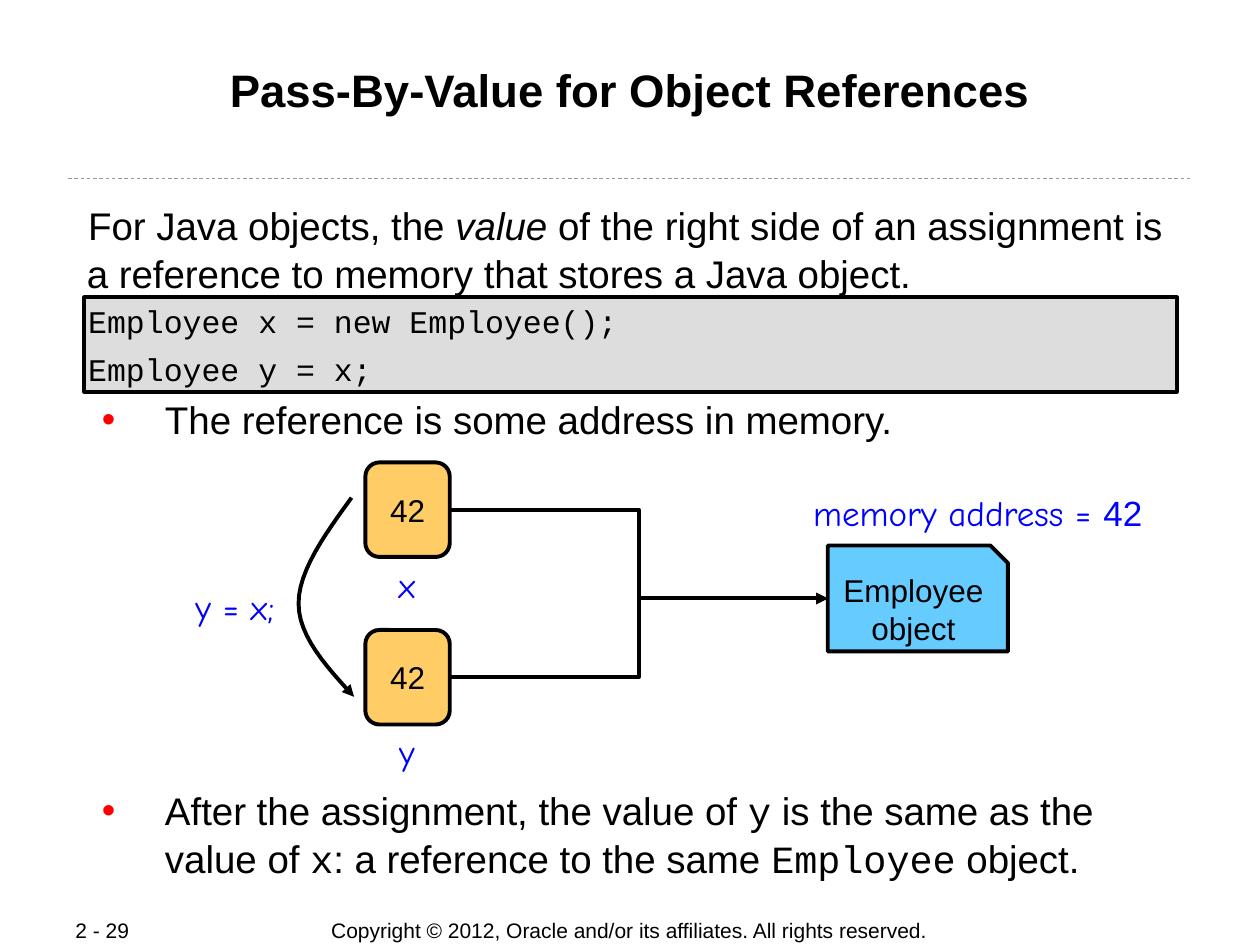
from lxml import etree
from pptx import Presentation
from pptx import util as u
from pptx.dml.color import RGBColor
from pptx.enum import dml, shapes, text
from pptx.oxml import ns

SANS, MONO, HAND = "Arial", "Courier New", "Comic Neue"
BLACK, BLUE, RED = "000000", "0000FF", "FF0000"
AMBER, SKY, GRAY, RULE = "FFCC66", "66CCFF", "DDDDDD", "999999"
LEFT, CENTER = text.PP_ALIGN.LEFT, text.PP_ALIGN.CENTER
TOP, MIDDLE = text.MSO_ANCHOR.TOP, text.MSO_ANCHOR.MIDDLE
LABEL_INSETS = (0.1, 0.05, 0.1, 0.05)
BODY_INSETS = (0.01, 0.01, 0.01, 0.01)


def rgb(color):
    return RGBColor.from_string(color)


def inches(*lengths):
    return [u.Inches(length) for length in lengths]


def add_child(parent, tag, **attributes):
    return etree.SubElement(parent, ns.qn(tag), attributes)


def set_frame(frame, insets=LABEL_INSETS, anchor=TOP, wrap=True):
    frame.auto_size = text.MSO_AUTO_SIZE.NONE
    frame.word_wrap = wrap
    frame.vertical_anchor = anchor
    (frame.margin_left, frame.margin_top,
     frame.margin_right, frame.margin_bottom) = inches(*insets)


def add_run(paragraph, words, size, font=SANS, color=BLACK, bold=False, italic=False):
    run = paragraph.add_run()
    run.text = words
    run.font.size = u.Pt(size)
    run.font.name = font
    run.font.bold = bold
    run.font.italic = italic
    run.font.color.rgb = rgb(color)


def add_text(slide, at, runs, size, color=BLACK, align=LEFT,
             insets=LABEL_INSETS, anchor=TOP, wrap=True):
    frame = slide.shapes.add_textbox(*inches(*at)).text_frame
    set_frame(frame, insets, anchor, wrap)
    paragraph = frame.paragraphs[0]
    paragraph.alignment = align
    for words, font, italic in runs:
        add_run(paragraph, words, size, font, color, italic=italic)
    return paragraph


def add_body(slide, top, height, runs, bulleted=False):
    paragraph = add_text(slide, (0.67, top, 8.66, height), runs, 22, insets=BODY_INSETS)
    paragraph.line_spacing = 1.04
    properties = paragraph._p.get_or_add_pPr()
    margin, indent = (0.63, -0.5) if bulleted else (0.01, 0.01)
    properties.set("marL", str(u.Inches(margin)))
    properties.set("indent", str(u.Inches(indent)))
    if bulleted:
        add_child(add_child(properties, "a:buClr"), "a:srgbClr", val=RED)
        add_child(properties, "a:buFont", typeface=SANS)
        add_child(properties, "a:buChar", char="•")


def add_label(slide, at, *parts):
    runs = [(words, font, False) for words, font in parts]
    add_text(slide, at, runs, 20, BLUE, CENTER, wrap=False)


def add_box(slide, preset, at, fill, lines, font=SANS, align=CENTER, insets=LABEL_INSETS):
    box = slide.shapes.add_shape(preset, *inches(*at))
    box.shadow.inherit = False
    box.fill.solid()
    box.fill.fore_color.rgb = rgb(fill)
    box.line.color.rgb = rgb(BLACK)
    box.line.width = u.Pt(2.25)
    frame = box.text_frame
    set_frame(frame, insets, MIDDLE)
    for index, words in enumerate(lines):
        paragraph = frame.add_paragraph() if index else frame.paragraphs[0]
        paragraph.alignment = align
        if index and font == MONO:
            paragraph.space_before = u.Pt(5)
        if font == MONO:
            paragraph.line_spacing = 1.04
        add_run(paragraph, words, 18, font)
    return box


def style_line(line, color=BLACK, width=2.25, arrow=False):
    line.color.rgb = rgb(color)
    line.width = u.Pt(width)
    if arrow:
        add_child(line._get_or_add_ln(), "a:tailEnd", type="triangle")


def add_connector(slide, kind, start, end, **style):
    connector = slide.shapes.add_connector(kind, *inches(*start, *end))
    style_line(connector.line, **style)
    add_child(connector._element.spPr, "a:effectLst")
    return connector


def bezier(p0, p1, p2, p3, steps=12):
    for step in range(1, steps + 1):
        t = step / steps
        s = 1 - t
        yield tuple(s**3 * a + 3 * s * s * t * b + 3 * s * t * t * c + t**3 * d
                    for a, b, c, d in zip(p0, p1, p2, p3))


def add_curved_arrow(slide, start, *segments):
    builder = slide.shapes.build_freeform(*inches(*start), scale=1.0)
    points, current = [], start
    for controls in segments:
        points += [inches(*point) for point in bezier(current, *controls)]
        current = controls[-1]
    builder.add_line_segments(points, close=False)
    arrow = builder.convert_to_shape()
    arrow.shadow.inherit = False
    arrow.fill.background()
    style_line(arrow.line, arrow=True)


def add_title(slide, words):
    title = slide.shapes.title
    title.left, title.top, title.width, title.height = inches(0.67, 0.48, 8.66, 0.96)
    set_frame(title.text_frame, BODY_INSETS)
    paragraph = title.text_frame.paragraphs[0]
    paragraph.alignment = CENTER
    add_run(paragraph, words, 26, bold=True)


def add_reference_diagram(slide):
    preset = shapes.MSO_SHAPE
    employee = add_box(slide, preset.SNIP_1_RECTANGLE, (6.57, 4.33, 1.43, 0.84), SKY,
                       ["Employee", "object"], insets=(0.1, 0.14, 0.1, 0.05))
    for name, top in (("x", 3.67), ("y", 5)):
        variable = add_box(slide, preset.ROUNDED_RECTANGLE, (2.9, top, 0.67, 0.75),
                           AMBER, ["42"])
        add_label(slide, (3.06, top + 0.75, 0.34, 0.44), (name, HAND))
        reference = add_connector(slide, shapes.MSO_CONNECTOR.ELBOW,
                                  (3.57, top + 0.375), (6.57, 4.75), arrow=True)
        reference.begin_connect(variable, 3)
        reference.end_connect(employee, 1)
    add_label(slide, (6.25, 3.85, 3.02, 0.44), ("memory address = ", HAND), ("42", SANS))
    add_label(slide, (1.43, 4.6, 0.87, 0.44), ("y = x;", HAND))
    add_curved_arrow(slide, (2.79, 3.95),
                     ((2.58, 4.24), (2.37, 4.53), (2.37, 4.79)),
                     ((2.37, 5.05), (2.59, 5.29), (2.81, 5.53)))


def main():
    deck = Presentation()
    deck.slide_width, deck.slide_height = inches(10, 7.5)
    slide = deck.slides.add_slide(deck.slide_layouts[5])

    add_title(slide, "Pass-By-Value for Object References")
    divider = add_connector(slide, shapes.MSO_CONNECTOR.STRAIGHT, (0.54, 1.42),
                            (9.46, 1.42), color=RULE, width=0.5)
    divider.line.dash_style = dml.MSO_LINE.DASH

    add_body(slide, 1.58, 0.76, [
        ("For Java objects, the ", SANS, False),
        ("value", SANS, True),
        (" of the right side of an assignment is a reference to memory "
         "that stores a Java object.", SANS, False),
    ])
    add_box(slide, shapes.MSO_SHAPE.RECTANGLE, (0.67, 2.36, 8.67, 0.75), GRAY,
            ["Employee x = new Employee();", "Employee y = x;"],
            MONO, LEFT, (0.03, 0.01, 0.01, 0.01))
    add_body(slide, 3.12, 0.4, [("The reference is some address in memory.", SANS, False)],
             bulleted=True)
    add_reference_diagram(slide)
    add_body(slide, 6.22, 0.78, [
        ("After the assignment, the value of ", SANS, False),
        ("y", MONO, False),
        (" is the same as the value of ", SANS, False),
        ("x", MONO, False),
        (": a reference to the same ", SANS, False),
        ("Employee", MONO, False),
        (" object.", SANS, False),
    ], bulleted=True)

    add_text(slide, (0.5, 7.28, 1.06, 0.2), [("2 - 29", SANS, False)], 12,
             anchor=MIDDLE)
    add_text(slide, (2.75, 7.28, 4.49, 0.2),
             [("Copyright © 2012, Oracle and/or its affiliates. All rights reserved.",
               SANS, False)], 12, align=CENTER, anchor=MIDDLE, wrap=False)
    deck.save("out.pptx")


if __name__ == "__main__":
    main()
